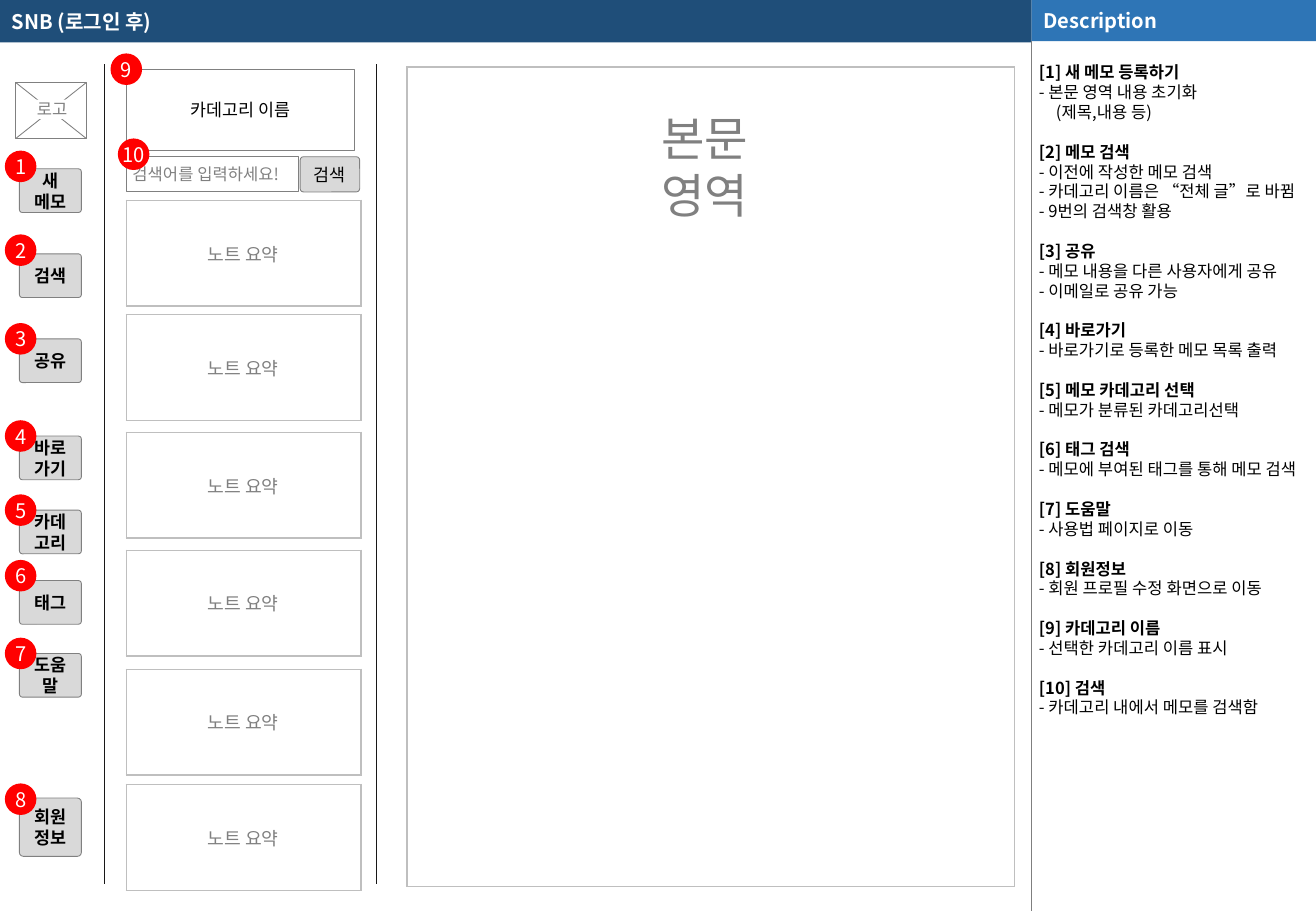
"""Build the SNB (logged-in) wireframe slide on a grid of tenth-inch cells."""
from lxml.etree import SubElement
from pptx import Presentation
from pptx.dml.color import RGBColor
from pptx.enum.shapes import MSO_CONNECTOR, MSO_SHAPE as SHAPE
from pptx.enum.text import MSO_ANCHOR as ANCHOR, PP_ALIGN as ALIGN
from pptx.oxml import parse_xml
from pptx.oxml.ns import nsdecls, qn
from pptx.util import Inches, Pt

FONT = "Noto Sans CJK KR"
CELL = Inches(0.1)
COLUMNS, ROWS = 108.3, 75
LINE_HEIGHT = 1.2
GREY, PALE_GREY, BUTTON_GREY = "808080", "BFBFBF", "D9D9D9"
BLACK, WHITE, RED = "000000", "FFFFFF", "FF0000"
hex_color = RGBColor.from_string

presentation = Presentation()
presentation.slide_width = int(COLUMNS * CELL)
presentation.slide_height = int(ROWS * CELL)
slide = presentation.slides.add_slide(presentation.slide_layouts[6])


def add_box(kind, place, text="", size=10.3, color=BLACK, fill=None, line=None,
            bold=False, align=ALIGN.CENTER, anchor=ANCHOR.MIDDLE,
            margins=(0, 0), wrap=True, corner=None):
    shape = slide.shapes.add_shape(kind, *[int(length * CELL) for length in place])
    shape.shadow.inherit = False
    if corner:
        shape.adjustments[0] = corner
    if fill:
        shape.fill.solid()
        shape.fill.fore_color.rgb = hex_color(fill)
    else:
        shape.fill.background()
    if line:
        shape.line.color.rgb = hex_color(line)
        shape.line.width = Pt(0.5)
    else:
        shape.line.fill.background()
    frame = shape.text_frame
    frame.word_wrap = wrap
    frame.vertical_anchor = anchor
    frame.margin_left = frame.margin_right = int(margins[0] * CELL)
    frame.margin_top = frame.margin_bottom = int(margins[1] * CELL)
    frame.text = text
    for paragraph in frame.paragraphs:
        paragraph.alignment = align
        paragraph.line_spacing = Pt(size * LINE_HEIGHT)
        for run in paragraph.runs:
            run.font.size = Pt(size)
            run.font.bold = bold
            run.font.color.rgb = hex_color(color)
            run.font.name = FONT
            SubElement(run.font._element, qn("a:ea"), typeface=FONT)
    return shape


def add_line(start, end, color, width=0.5):
    points = [int(length * CELL) for length in (*start, *end)]
    connector = slide.shapes.add_connector(MSO_CONNECTOR.STRAIGHT, *points)
    connector.line.color.rgb = hex_color(color)
    connector.line.width = Pt(width)
    SubElement(connector._element.spPr, qn("a:effectLst"))


side_left, header_height = 84.9, 3.5
add_box(SHAPE.RECTANGLE, (0, 0, side_left, header_height), "SNB (로그인 후)", 11.9,
        WHITE, "1F4E79", bold=True, align=ALIGN.LEFT, margins=(1, 0.5))
add_line((side_left, 3.4), (side_left, ROWS), "7F7F7F", 0.25)
add_box(SHAPE.RECTANGLE, (side_left, 0, COLUMNS - side_left, 3.4), "Description", 11.9,
        WHITE, "2E75B6", bold=True, align=ALIGN.LEFT, margins=(1, 0.5))

description = """[1] 새 메모 등록하기
- 본문 영역 내용 초기화
(제목,내용 등)
[2] 메모 검색
- 이전에 작성한 메모 검색
- 카데고리 이름은 “전체 글”로 바뀜
- 9번의 검색창 활용
[3] 공유
- 메모 내용을 다른 사용자에게 공유
- 이메일로 공유 가능
[4] 바로가기
- 바로가기로 등록한 메모 목록 출력
[5] 메모 카데고리 선택
- 메모가 분류된 카데고리선택
[6] 태그 검색
- 메모에 부여된 태그를 통해 메모 검색
[7] 도움말
- 사용법 페이지로 이동
[8] 회원정보
- 회원 프로필 수정 화면으로 이동
[9] 카데고리 이름
- 선택한 카데고리 이름 표시
[10] 검색
- 카데고리 내에서 메모를 검색함"""
description_box = add_box(SHAPE.RECTANGLE, (85.1, 5.13, 23.2, 69.8), description, 9.8,
                          align=ALIGN.LEFT, anchor=ANCHOR.TOP, margins=(0.4, 0))
for index, paragraph in enumerate(description_box.text_frame.paragraphs):
    if paragraph.text.startswith("["):
        paragraph.runs[0].font.bold = True
        if index:
            paragraph.space_before = Pt(9.8 * LINE_HEIGHT)
    elif paragraph.text.startswith("("):
        paragraph._p.get_or_add_pPr().set("marL", str(int(1.4 * CELL)))

logo_left, logo_top, logo_right, logo_bottom = 1.3, 6.8, 7.1, 11.4
add_box(SHAPE.RECTANGLE, (logo_left, logo_top, logo_right - logo_left, logo_bottom - logo_top),
        fill=WHITE, line=GREY)
add_line((logo_left, logo_bottom), (logo_right, logo_top), GREY)
add_line((logo_left, logo_top), (logo_right, logo_bottom), GREY)
add_box(SHAPE.RECTANGLE, (2.1, 8.2, 4.4, 1.6), "로고", 9.8, GREY, WHITE, margins=(0.4, 0))

for divider_left in (8.6, 31):
    add_line((divider_left, 5.3), (divider_left, 72.8), "181717")

menu = [("새 메모", 13.9, 3.6), ("검색", 20.9, 3.6), ("공유", 27.9, 3.6),
        ("바로 가기", 35.9, 3.6), ("카데고리", 42, 3.6), ("태그", 47.8, 3.6),
        ("도움말", 53.8, 3.6), ("회원정보", 65.7, 4.8)]
for label, top, height in menu:
    add_box(SHAPE.ROUNDED_RECTANGLE, (1.6, top, 5.1, height), label, fill=BUTTON_GREY,
            line=GREY, bold=True, margins=(1, 0.5), corner=0.068)

note_tops = (16.5, 25.9, 35.6, 45.3, 55.1, 64.6)
panels = [((10.4, top, 19.3, 8.7), (14.5, top + 3.5, 11, 1.8), "노트 요약", 10.8)
          for top in note_tops]
panels.append(((33.5, 5.5, 50, 67.5), (52.5, 9, 11, 9.4), "본문 영역", 28))
for panel_place, label_place, label, size in panels:
    table = slide.shapes.add_table(1, 1, *[int(length * CELL) for length in panel_place]).table
    table.first_row = table.horz_banding = False
    cell = table.cell(0, 0)
    properties = cell._tc.get_or_add_tcPr()
    for edge in ("lnL", "lnR", "lnT", "lnB"):
        properties.append(parse_xml(
            f'<a:{edge} {nsdecls("a")} w="{Pt(1)}"><a:solidFill>'
            f'<a:srgbClr val="{PALE_GREY}"/></a:solidFill></a:{edge}>'))
    cell.fill.background()
    add_box(SHAPE.RECTANGLE, label_place, label, size, GREY, WHITE, anchor=ANCHOR.TOP)

add_box(SHAPE.RECTANGLE, (10.4, 5.7, 18.8, 6.7), "카데고리 이름", line=GREY, margins=(0.5, 0.5))
add_box(SHAPE.RECTANGLE, (10.4, 12.9, 14.2, 2.9), "검색어를 입력하세요!", 9.8, GREY,
        line=GREY, align=ALIGN.LEFT, margins=(0.5, 0.5))
add_box(SHAPE.ROUNDED_RECTANGLE, (24.7, 12.9, 4.9, 2.9), "검색", fill=BUTTON_GREY,
        line=GREY, margins=(0.5, 0.5), corner=0.097)

menu_badge_tops = (12.4, 19.3, 26.6, 34.6, 40.7, 46.1, 52.5, 64.5)
badges = [(0.4, top) for top in menu_badge_tops] + [(9.1, 4.4), (9.7, 11.4)]
for number, (left, top) in enumerate(badges, 1):
    add_box(SHAPE.OVAL, (left, top, 2.6, 2.6), str(number), 11.9, WHITE, RED, wrap=False)

presentation.save("out.pptx")
